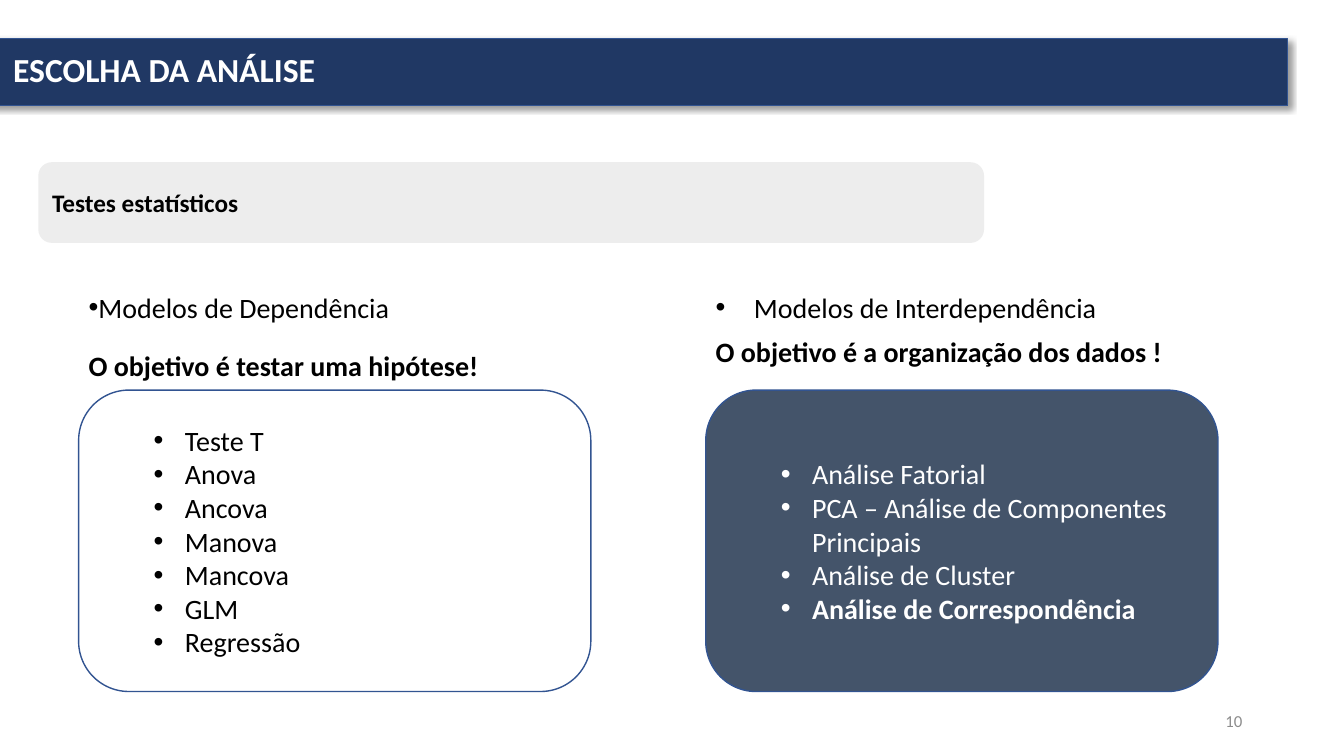
from lxml import etree
from pptx import Presentation
from pptx.dml.color import RGBColor
from pptx.enum.shapes import MSO_SHAPE
from pptx.enum.text import MSO_ANCHOR, PP_ALIGN
from pptx.oxml import parse_xml
from pptx.oxml.ns import nsdecls, qn
from pptx.util import Emu, Pt

RECTANGLE = MSO_SHAPE.RECTANGLE
ROUNDED = MSO_SHAPE.ROUNDED_RECTANGLE
TOP = MSO_ANCHOR.TOP
MIDDLE = MSO_ANCHOR.MIDDLE
LEFT = PP_ALIGN.LEFT
RIGHT = PP_ALIGN.RIGHT

EMU_PER_PX = 9144
FONT = "Calibri"
COLORS = {
    "navy": "203864",
    "outline": "325491",
    "slate": "44546A",
    "pale": "EDEDED",
    "white": "FFFFFF",
    "black": "000000",
    "gray": "8C8C8C",
}
DEPENDENCE_TESTS = ["Teste T", "Anova", "Ancova", "Manova", "Mancova", "GLM", "Regressão"]
INTERDEPENDENCE_TESTS = [
    "Análise Fatorial",
    "PCA – Análise de Componentes Principais",
    "Análise de Cluster",
    "Análise de Correspondência",
]


def px(length):
    return Emu(length * EMU_PER_PX)


def rgb(name):
    return RGBColor.from_string(COLORS[name])


def add_bullet(paragraph, margin, indent):
    properties = paragraph._p.get_or_add_pPr()
    properties.set("marL", str(px(margin)))
    properties.set("indent", str(px(indent)))
    etree.SubElement(properties, qn("a:buFont")).set("typeface", "Arial")
    etree.SubElement(properties, qn("a:buChar")).set("char", "•")


def style(paragraph, size, color, bold=False, align=LEFT):
    paragraph.alignment = align
    paragraph.font.name = FONT
    paragraph.font.size = Pt(size)
    paragraph.font.bold = bold
    paragraph.font.color.rgb = rgb(color)


def add_panel(slide, kind, box, fill=None, line=None):
    panel = slide.shapes.add_shape(kind, *map(px, box))
    panel.shadow.inherit = False
    if fill:
        panel.fill.solid()
        panel.fill.fore_color.rgb = rgb(fill)
    else:
        panel.fill.background()
    if line:
        panel.line.color.rgb = rgb(line)
        panel.line.width = Pt(1)
    else:
        panel.line.fill.background()
    panel.text_frame.word_wrap = True
    panel.text_frame.vertical_anchor = MIDDLE
    return panel


def add_label(slide, box, text, size=20, color="black", bold=False, align=LEFT,
              anchor=TOP, wrap=False, bullet=None):
    frame = slide.shapes.add_textbox(*map(px, box)).text_frame
    frame.word_wrap = wrap
    frame.vertical_anchor = anchor
    paragraph = frame.paragraphs[0]
    paragraph.text = text
    if bullet:
        add_bullet(paragraph, *bullet)
    style(paragraph, size, color, bold, align)


def add_banner(slide, title):
    banner = add_panel(slide, RECTANGLE, (-42, 38, 1319, 67), "navy", "outline")
    effects = banner._element.spPr.find(qn("a:effectLst"))
    effects.append(parse_xml(
        f'<a:outerShdw {nsdecls("a")} blurRad="{Pt(4)}" dist="{Pt(3)}" dir="2700000" '
        f'algn="tl" rotWithShape="0"><a:srgbClr val="{COLORS["black"]}">'
        '<a:alpha val="40000"/></a:srgbClr></a:outerShdw>'
    ))
    frame = banner.text_frame
    frame.margin_left = px(55)
    frame.margin_bottom = px(11)
    frame.paragraphs[0].text = title
    style(frame.paragraphs[0], 24, "white", bold=True)


def add_section(slide, text):
    section = add_panel(slide, ROUNDED, (38, 161, 938, 80), "pale")
    paragraph = section.text_frame.paragraphs[0]
    paragraph.text = text
    style(paragraph, 18, "black", bold=True)


def add_test_list(slide, left, tests, color, fill=None, highlight=None):
    frame = add_panel(slide, ROUNDED, (left, 387, 508, 299), fill, "outline").text_frame
    frame.text = "\n".join(tests)
    for paragraph in frame.paragraphs:
        paragraph.level = 1
        add_bullet(paragraph, 81, -31)
        style(paragraph, 20, color, bold=paragraph.text == highlight)


def main():
    deck = Presentation()
    deck.slide_width, deck.slide_height = px(1333), px(750)
    slide = deck.slides.add_slide(deck.slide_layouts[6])

    add_section(slide, "Testes estatísticos")
    add_banner(slide, "ESCOLHA DA ANÁLISE")

    add_label(slide, (78, 283, 356, 44), "Modelos de Dependência", bullet=(0, -38))
    add_label(slide, (78, 341, 505, 44), "O objetivo é testar uma hipótese!",
              bold=True, wrap=True)
    add_test_list(slide, 78, DEPENDENCE_TESTS, "black")

    add_label(slide, (700, 283, 407, 44), "Modelos de Interdependência", bullet=(38, -38))
    add_label(slide, (700, 327, 467, 44), "O objetivo é a organização dos dados !", bold=True)
    add_test_list(slide, 700, INTERDEPENDENCE_TESTS, "white", "slate",
                  highlight="Análise de Correspondência")

    add_label(slide, (942, 695, 300, 40), "10", size=12, color="gray", align=RIGHT,
              anchor=MIDDLE, wrap=True)
    deck.save("out.pptx")


if __name__ == "__main__":
    main()
